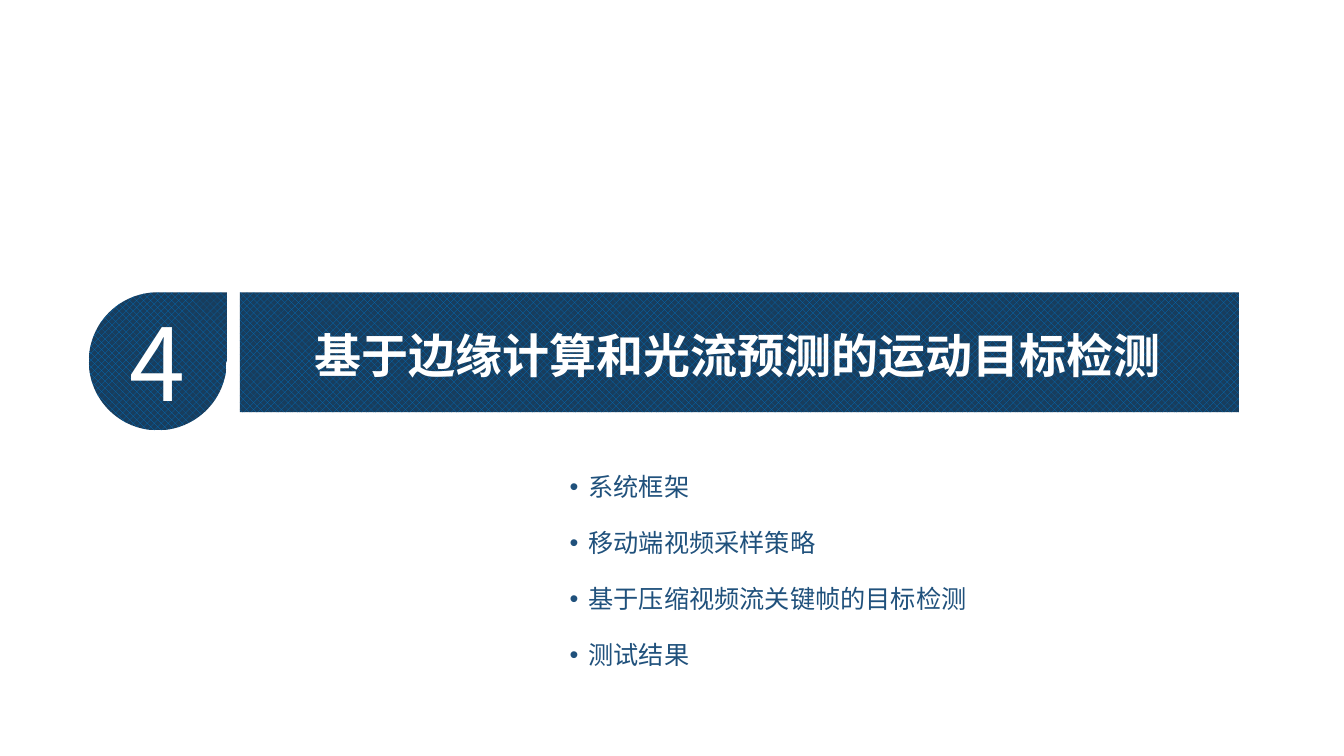
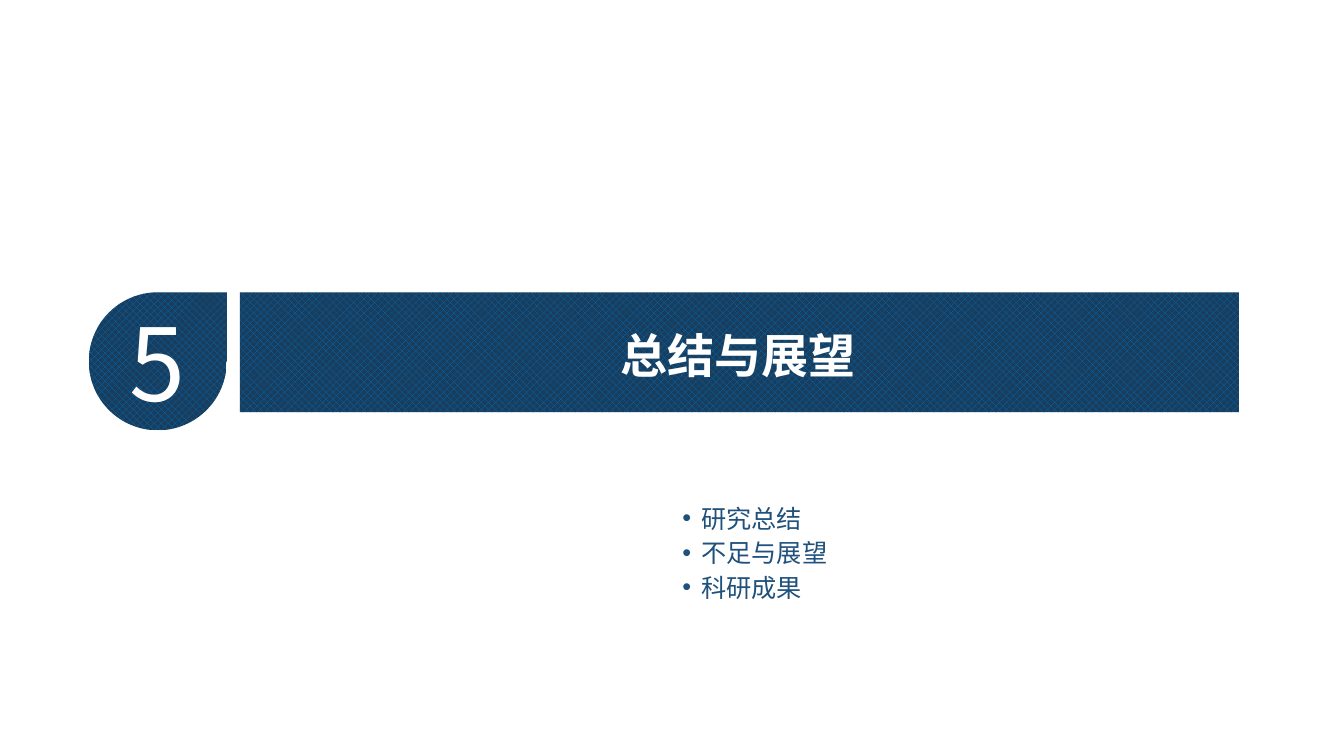
from lxml.etree import SubElement
from pptx import Presentation
from pptx.dml.color import RGBColor
from pptx.enum.dml import MSO_PATTERN
from pptx.enum.shapes import MSO_SHAPE
from pptx.enum.text import MSO_ANCHOR, MSO_AUTO_SIZE, PP_ALIGN
from pptx.oxml.ns import qn
from pptx.util import Pt

WHITE = RGBColor(0xFF, 0xFF, 0xFF)
NAVY = RGBColor(0x18, 0x3D, 0x5D)
BLUE = RGBColor(0x00, 0x70, 0xC0)
TOPIC_BLUE = RGBColor(0x20, 0x51, 0x7C)
FONT = "Noto Sans CJK SC"
BAND_TOP = Pt(208.8)
TOPIC_INDENT = Pt(13.5)

SECTIONS = [
    {
        "number": "4",
        "heading": "基于边缘计算和光流预测的运动目标检测",
        "topics": ["系统框架", "移动端视频采样策略", "基于压缩视频流关键帧的目标检测", "测试结果"],
        "topics_box": (Pt(399.6), Pt(333.3), Pt(304.6), Pt(166)),
        "topic_gap": Pt(18.4),
    },
    {
        "number": "5",
        "heading": "总结与展望",
        "topics": ["研究总结", "不足与展望", "科研成果"],
        "topics_box": (Pt(480.2), Pt(355.6), Pt(136), Pt(92)),
        "topic_gap": Pt(3.1),
    },
]


def place(shape, left, top, width, height):
    """Move and size a placeholder."""
    shape.left, shape.top, shape.width, shape.height = left, top, width, height


def style_paragraph(paragraph, size, color, align, bold=False):
    """Set the alignment and the Latin and East Asian font of a paragraph."""
    paragraph.alignment = align
    font = paragraph.font
    font.size, font.bold, font.name = Pt(size), bold, FONT
    font.color.rgb = color
    run_defaults = paragraph._p.pPr.find(qn("a:defRPr"))
    SubElement(run_defaults, qn("a:ea")).set("typeface", FONT)


def add_hatched_shape(slide, preset, left, width, height):
    """Add a hatched shape without outline or shadow on the band line."""
    shape = slide.shapes.add_shape(preset, left, BAND_TOP, width, height)
    shape.shadow.inherit = False
    shape.line.fill.background()
    shape.fill.patterned()
    shape.fill.pattern = MSO_PATTERN.PERCENT_50
    shape.fill.fore_color.rgb = BLUE
    shape.fill.back_color.rgb = NAVY
    return shape


def add_heading(slide, heading):
    """Set the section title on a hatched band."""
    band = add_hatched_shape(slide, MSO_SHAPE.RECTANGLE, Pt(171.4), Pt(713.5), Pt(85.7))
    slide.shapes.title.element.addprevious(band.element)
    title = slide.shapes.title
    place(title, Pt(162), Pt(229), Pt(730), Pt(48.2))
    frame = title.text_frame
    frame.text = heading
    frame.auto_size = MSO_AUTO_SIZE.NONE
    frame.vertical_anchor = MSO_ANCHOR.MIDDLE
    style_paragraph(frame.paragraphs[0], 33.6, WHITE, PP_ALIGN.CENTER, bold=True)


def add_number(slide, number):
    """Add the teardrop with the section number."""
    teardrop = add_hatched_shape(slide, MSO_SHAPE.TEAR, Pt(63.4), Pt(98.6), Pt(98.6))
    frame = teardrop.text_frame
    frame.text = number
    frame.vertical_anchor = MSO_ANCHOR.MIDDLE
    frame.margin_left = frame.margin_right = Pt(8.6)
    frame.margin_top = frame.margin_bottom = Pt(4.3)
    style_paragraph(frame.paragraphs[0], 72, WHITE, PP_ALIGN.CENTER)


def add_topics(slide, topics, box, gap):
    """Fill the body placeholder with the bulleted topics."""
    body = slide.placeholders[1]
    place(body, *box)
    frame = body.text_frame
    frame.text = "\n".join(topics)
    frame.auto_size = MSO_AUTO_SIZE.NONE
    frame.vertical_anchor = MSO_ANCHOR.TOP
    for paragraph in frame.paragraphs:
        properties = paragraph._p.get_or_add_pPr()
        properties.set("marL", str(TOPIC_INDENT))
        properties.set("indent", str(-TOPIC_INDENT))
        SubElement(properties, qn("a:buFont")).set("typeface", "Arial")
        SubElement(properties, qn("a:buChar")).set("char", "•")
        paragraph.line_spacing = 1.0
        paragraph.space_before = Pt(0)
        paragraph.space_after = gap
        style_paragraph(paragraph, 18, TOPIC_BLUE, PP_ALIGN.LEFT)


def add_section(presentation, section):
    """Add one section slide."""
    slide = presentation.slides.add_slide(presentation.slide_layouts[1])
    add_heading(slide, section["heading"])
    add_number(slide, section["number"])
    add_topics(slide, section["topics"], section["topics_box"], section["topic_gap"])


def main():
    """Build and save the section slides."""
    presentation = Presentation()
    presentation.slide_width, presentation.slide_height = Pt(960), Pt(540)
    for section in SECTIONS:
        add_section(presentation, section)
    presentation.save("out.pptx")


if __name__ == "__main__":
    main()
